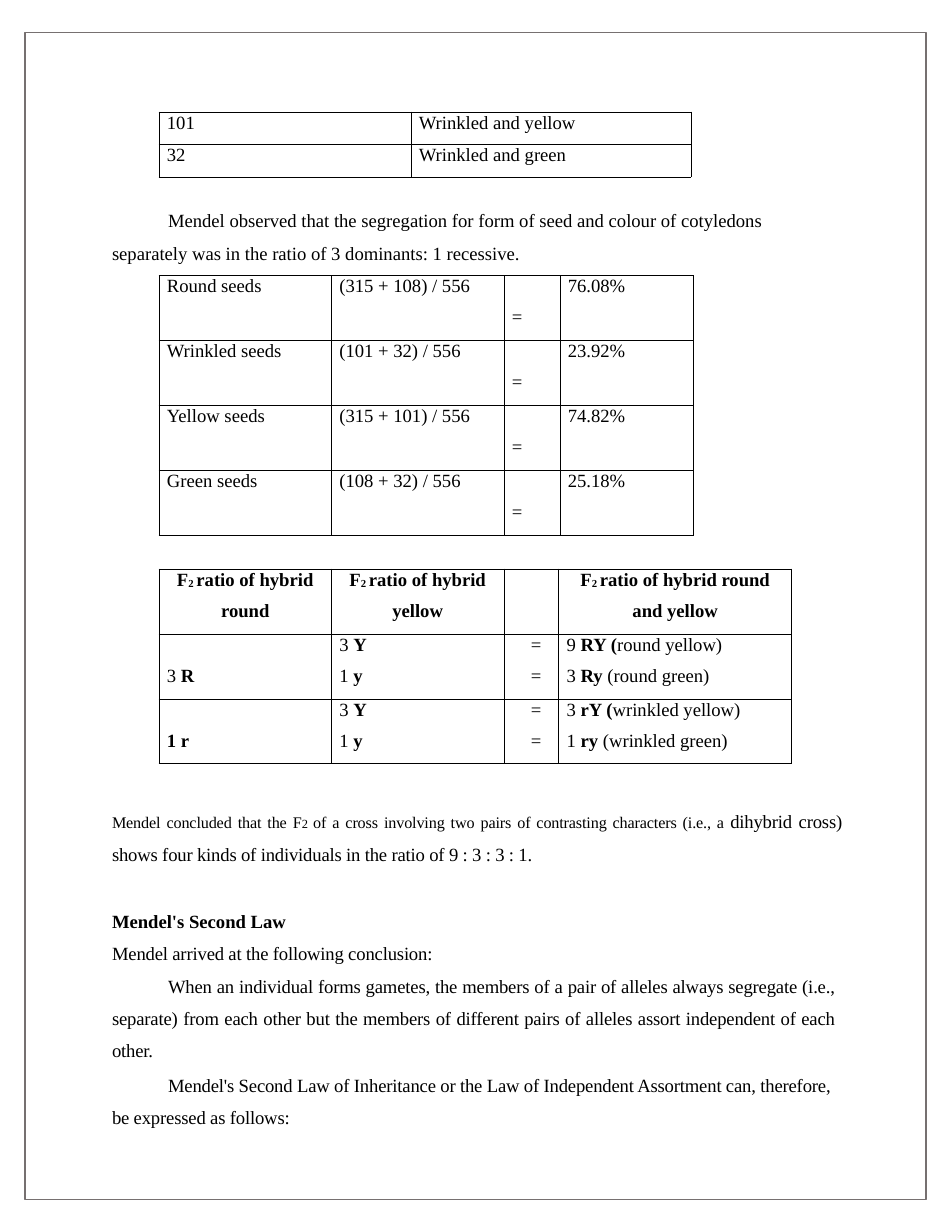
from dataclasses import dataclass
from itertools import product

from lxml import etree
from pptx import Presentation
from pptx.dml.color import RGBColor
from pptx.enum.shapes import MSO_SHAPE
from pptx.enum.text import MSO_ANCHOR, MSO_AUTO_SIZE, PP_ALIGN
from pptx.oxml.ns import qn
from pptx.util import Inches, Pt


def color(value):
    return RGBColor.from_string(value)


@dataclass
class Run:
    text: str
    bold: bool = False
    size: float = 12
    baseline: int = 0
    tracking: int = 0


@dataclass
class Para:
    runs: list
    align: PP_ALIGN = PP_ALIGN.LEFT
    left: float = 0
    first: float = 0
    right: float = 0
    line: object = 1.0
    before: float = 0


@dataclass
class Cell:
    paras: list
    top: float = 0


class Page:
    font = "Times New Roman"
    ink = "000000"
    frame_gray = "767070"

    def __init__(self, slide):
        self.slide = slide

    def set_paragraphs(self, frame, paras):
        frame.word_wrap = True
        for index, para in enumerate(paras):
            p = frame.paragraphs[0] if index == 0 else frame.add_paragraph()
            p.alignment = para.align
            p.line_spacing = para.line
            p.space_before = Pt(para.before)
            p.space_after = Pt(0)
            props = p._p.get_or_add_pPr()
            props.set("marL", str(Inches(para.left)))
            props.set("marR", str(Inches(para.right)))
            props.set("indent", str(Inches(para.first)))
            etree.SubElement(props, qn("a:buNone"))
            for item in para.runs:
                run = p.add_run()
                run.text = item.text
                run.font.name = self.font
                run.font.size = Pt(item.size)
                run.font.bold = item.bold
                run.font.color.rgb = color(self.ink)
                run_props = run._r.get_or_add_rPr()
                run_props.set("baseline", str(item.baseline))
                run_props.set("spc", str(item.tracking))

    def frame(self, x, y, w, h):
        shape = self.slide.shapes.add_shape(
            MSO_SHAPE.RECTANGLE, Inches(x), Inches(y), Inches(w), Inches(h))
        shape.shadow.inherit = False
        shape.fill.background()
        shape.line.color.rgb = color(self.frame_gray)
        shape.line.width = Pt(1.25)

    def fill_box(self, box, x, y, w, h, paras):
        box.left, box.top, box.width, box.height = map(Inches, (x, y, w, h))
        frame = box.text_frame
        frame.auto_size = MSO_AUTO_SIZE.NONE
        frame.vertical_anchor = MSO_ANCHOR.TOP
        frame.margin_left = frame.margin_right = frame.margin_bottom = 0
        frame.margin_top = Inches(0.01)
        self.set_paragraphs(frame, paras)

    def text(self, x, y, w, h, paras):
        self.fill_box(self.slide.shapes.add_textbox(0, 0, 0, 0), x, y, w, h, paras)

    def body(self, x, y, w, h, paras):
        self.fill_box(self.slide.placeholders[1], x, y, w, h, paras)

    def border(self, cell):
        props = cell._tc.get_or_add_tcPr()
        for side in ("lnL", "lnR", "lnT", "lnB"):
            line = etree.SubElement(props, qn("a:" + side), w=str(Pt(0.5)))
            fill = etree.SubElement(line, qn("a:solidFill"))
            etree.SubElement(fill, qn("a:srgbClr"), val=self.ink)

    def table(self, x, y, widths, row_height, rows):
        table = self.slide.shapes.add_table(
            len(rows), len(widths), Inches(x), Inches(y),
            Inches(sum(widths)), Inches(row_height * len(rows))).table
        table.first_row = table.horz_banding = False
        for column, width in zip(table.columns, widths):
            column.width = Inches(width)
        for row in table.rows:
            row.height = Inches(row_height)
        for r, c in product(range(len(rows)), range(len(widths))):
            cell, content = table.cell(r, c), rows[r][c]
            cell.margin_left = cell.margin_right = cell.margin_bottom = 0
            cell.margin_top = Pt(content.top)
            self.border(cell)
            cell.fill.background()
            self.set_paragraphs(cell.text_frame, content.paras)


def lines(*run_lists, top=0, left=0.07, align=PP_ALIGN.LEFT):
    return Cell([Para(runs, align, left, line=Pt(13.8), before=6.3 if i else 0)
                 for i, runs in enumerate(run_lists)], top)


def plain(text, top=0):
    return lines([Run(text)], top=top)


def ratio_heading(tail, second_line):
    return lines([Run("F", True), Run("2 ", True, baseline=-7000), Run(tail, True)],
                 [Run(second_line, True)], left=0, align=PP_ALIGN.CENTER)


def ratio_row(parent, first, second):
    return [lines(parent, top=20),
            lines([Run("3 "), Run("Y", True)], [Run("1 "), Run("y", True)]),
            lines([Run("=")], [Run("=")], left=0.24),
            lines(first, second)]


def tight(text, **style):
    return Run(text, tracking=-10, **style)


prs = Presentation()
prs.slide_width, prs.slide_height = Inches(8.5), Inches(11)
slide = prs.slides.add_slide(prs.slide_layouts[1])
title = slide.shapes.title._element
title.getparent().remove(title)
page = Page(slide)

page.frame(0.22, 0.29, 8.05, 10.42)

seed_counts = [("101", "Wrinkled and yellow"), ("32", "Wrinkled and green")]
page.table(1.42, 1, [2.25, 2.5], 0.29,
           [[plain(text) for text in row] for row in seed_counts])

page.text(0.99, 1.77, 6.52, 0.6, [Para(
    [Run("Mendel observed that the segregation for form of seed and colour of "
         "cotyledons separately was in the ratio of 3 dominants: 1 recessive.")],
    left=0.01, first=0.5, right=0.5, line=1.44, before=1)])

seed_shares = [
    ("Round seeds", "(315 + 108) / 556", "76.08%"),
    ("Wrinkled seeds", "(101 + 32) / 556", "23.92%"),
    ("Yellow seeds", "(315 + 101) / 556", "74.82%"),
    ("Green seeds", "(108 + 32) / 556", "25.18%"),
]
page.table(1.42, 2.46, [1.54, 1.54, 0.5, 1.19], 0.58,
           [[plain(seed), plain(share), plain("=", top=20), plain(percent)]
            for seed, share, percent in seed_shares])

page.table(1.42, 5.08, [1.54, 1.54, 0.49, 2.08], 0.58, [
    [ratio_heading("ratio of hybrid", "round"),
     ratio_heading("ratio of hybrid", "yellow"),
     Cell([]),
     ratio_heading("ratio of hybrid round", "and yellow")],
    ratio_row([Run("3 "), Run("R", True)],
              [Run("9 "), Run("RY (", True), Run("round yellow)")],
              [Run("3 "), Run("Ry ", True), Run("(round green)")]),
    ratio_row([Run("1 r", True)],
              [Run("3 "), Run("rY (", True), Run("wrinkled yellow)")],
              [Run("1 "), Run("ry ", True), Run("(wrinkled green)")]),
])

raised = {"size": 18, "baseline": 2000}
justified = {"align": PP_ALIGN.JUSTIFY, "left": 0.01}
page.body(0.99, 7.02, 6.53, 2.89, [
    Para([tight("Mendel concluded that the F", **raised),
          tight("2 ", size=8),
          tight("of a cross involving two pairs of contrasting characters (i.e., a ",
                **raised),
          tight("dihybrid cross) shows four kinds of individuals in the ratio of "
                "9 : 3 : 3 : 1.")], line=1.4, before=1, **justified),
    Para([Run("Mendel's Second Law", True)], before=28.5, **justified),
    Para([tight("Mendel arrived at the following conclusion:")],
         before=6.3, **justified),
    Para([tight("When an individual forms gametes, the members of a pair of alleles "
                "always segregate (i.e., separate) from each other but the members of "
                "different pairs of alleles assort independent of each other.")],
         first=0.5, right=0.06, line=1.44, **justified),
    Para([tight("Mendel's Second Law of Inheritance or the Law of Independent "
                "Assortment can, therefore, be expressed as follows:")],
         first=0.5, right=0.1, line=Pt(20.7), before=1.7, **justified),
])

prs.save("out.pptx")
